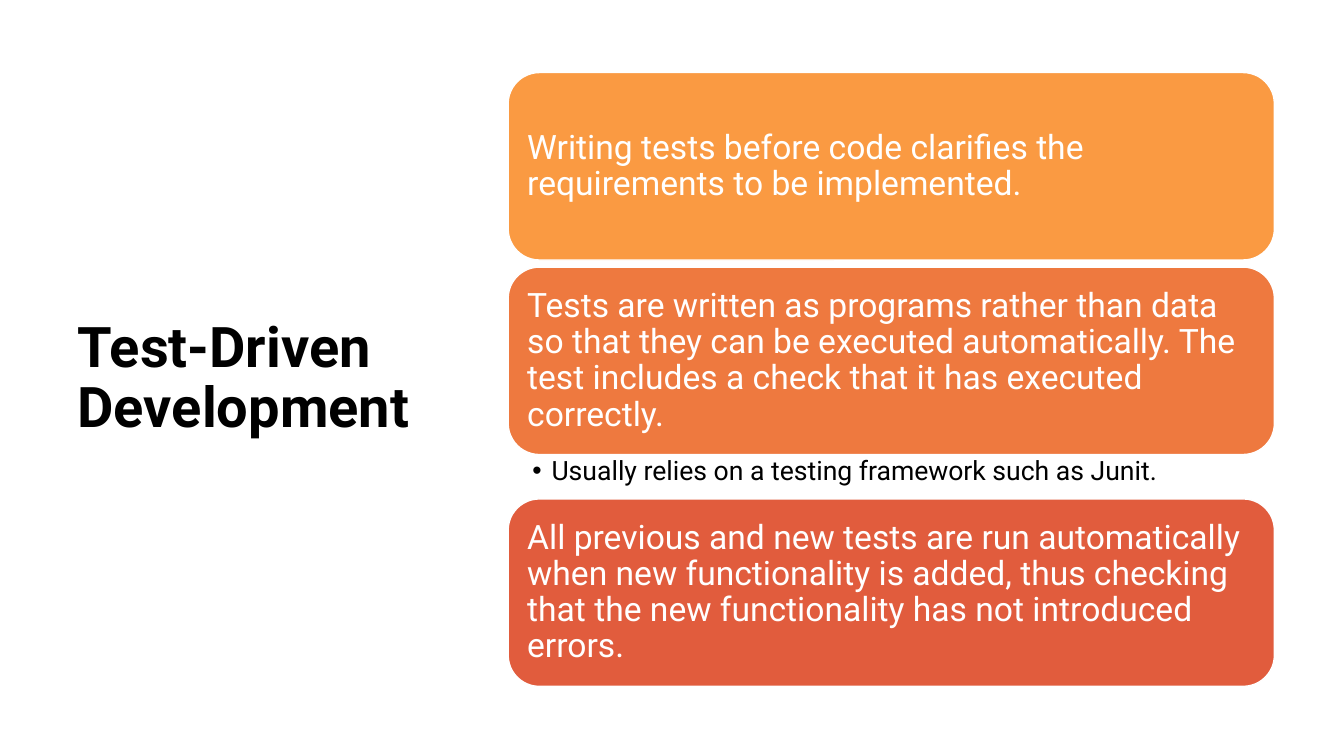
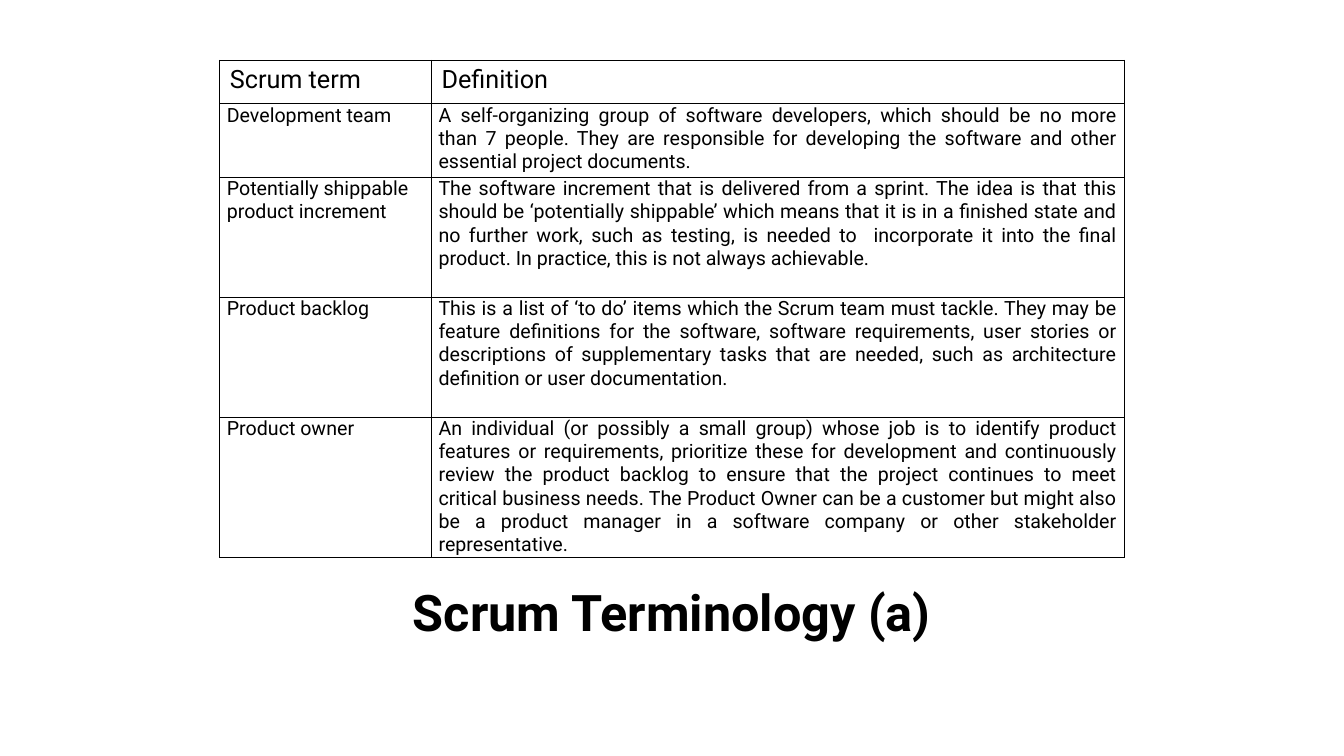
"""Build two slides on test-driven development and Scrum terminology."""
from dataclasses import dataclass
from typing import Any

from lxml.etree import SubElement
from pptx import Presentation
from pptx.dml.color import RGBColor
from pptx.enum.shapes import MSO_SHAPE
from pptx.enum.text import MSO_ANCHOR, MSO_AUTO_SIZE, PP_ALIGN
from pptx.oxml.ns import qn
from pptx.util import Inches, Pt

BLACK = RGBColor(0x00, 0x00, 0x00)
WHITE = RGBColor(0xFF, 0xFF, 0xFF)
AMBER = RGBColor(0xFA, 0x9A, 0x42)
ORANGE = RGBColor(0xEE, 0x79, 0x3F)
BRICK = RGBColor(0xE1, 0x5C, 0x3D)

FONT = "Roboto"
CARD_LEFT, CARD_TOP, CARD_WIDTH, CARD_HEIGHT = 5.04, 0.72, 7.6, 1.86
CARD_GAP, DETAIL_HEIGHT = 0.07, 0.44
TABLE_LEFT, TABLE_TOP = 2.18, 0.6
COLUMN_WIDTHS = (2.1, 6.87)
ROW_HEIGHTS = (0.43, 0.73, 1.19, 1.19, 1.39)
TABLE_WIDTH = sum(COLUMN_WIDTHS)


@dataclass(frozen=True)
class Card:
    text: str
    color: RGBColor
    detail: str = ""


@dataclass(frozen=True)
class Term:
    name: str
    definition: str


CARDS = (
    Card("Writing tests before code clarifies the requirements to be implemented.", AMBER),
    Card(
        "Tests are written as programs rather than data so that they can be executed "
        "automatically. The test includes a check that it has executed correctly.",
        ORANGE,
        "Usually relies on a testing framework such as Junit.",
    ),
    Card(
        "All previous and new tests are run automatically when new functionality is added, "
        "thus checking that the new functionality has not introduced errors.",
        BRICK,
    ),
)

TERMS = (
    Term("Scrum term", "Definition"),
    Term(
        "Development team",
        "A self-organizing group of software developers, which should be no more than 7 people. "
        "They are responsible for developing the software and other essential project documents.",
    ),
    Term(
        "Potentially shippable product increment",
        "The software increment that is delivered from a sprint. The idea is that this should be "
        "‘potentially shippable’ which means that it is in a finished state and no further work, "
        "such as testing, is needed to  incorporate it into the final product. In practice, this "
        "is not always achievable.",
    ),
    Term(
        "Product backlog",
        "This is a list of ‘to do’ items which the Scrum team must tackle. They may be feature "
        "definitions for the software, software requirements, user stories or descriptions of "
        "supplementary tasks that are needed, such as architecture definition or user "
        "documentation.",
    ),
    Term(
        "Product owner",
        "An individual (or possibly a small group) whose job is to identify product features or "
        "requirements, prioritize these for development and continuously review the product "
        "backlog to ensure that the project continues to meet critical business needs. The "
        "Product Owner can be a customer but might also be a product manager in a software "
        "company or other stakeholder representative.",
    ),
)


def apply(target: Any, formats: dict[str, Any]) -> None:
    """Set each named format value on the target."""
    for name, value in formats.items():
        setattr(target, name, value)


def place(shape: Any, left: float, top: float, width: float, height: float) -> None:
    """Move and size a shape in inches."""
    box = {"left": left, "top": top, "width": width, "height": height}
    apply(shape, {name: Inches(value) for name, value in box.items()})


def margins(horizontal: float, vertical: float) -> dict[str, Any]:
    """Return the four text margins of a frame or cell."""
    return {
        "margin_left": Inches(horizontal),
        "margin_right": Inches(horizontal),
        "margin_top": Inches(vertical),
        "margin_bottom": Inches(vertical),
    }


def write(
    frame: Any,
    text: str,
    size: float,
    color: RGBColor = BLACK,
    align: PP_ALIGN = PP_ALIGN.LEFT,
    spacing: float = 0.9,
    bold: bool = False,
) -> Any:
    """Write one formatted paragraph and return it."""
    paragraph = frame.paragraphs[0]
    apply(paragraph, {"alignment": align, "line_spacing": spacing, "space_before": Pt(0)})
    run = paragraph.add_run()
    run.text = text
    apply(run.font, {"name": FONT, "size": Pt(size), "bold": bold})
    run.font.color.rgb = color
    return paragraph


def set_title(
    slide: Any,
    text: str,
    box: tuple[float, float, float, float],
    size: float,
    align: PP_ALIGN,
    anchor: MSO_ANCHOR,
) -> None:
    """Fill and place the title placeholder."""
    title = slide.shapes.title
    place(title, *box)
    apply(
        title.text_frame,
        {"word_wrap": True, "auto_size": MSO_AUTO_SIZE.NONE, "vertical_anchor": anchor},
    )
    write(title.text_frame, text, size, align=align, bold=True)


def add_card(slide: Any, card: Card, top: float) -> None:
    """Draw one rounded card with its statement."""
    panel = slide.shapes.add_shape(
        MSO_SHAPE.ROUNDED_RECTANGLE,
        *(Inches(value) for value in (CARD_LEFT, top, CARD_WIDTH, CARD_HEIGHT)),
    )
    panel.shadow.inherit = False
    panel.fill.solid()
    panel.fill.fore_color.rgb = card.color
    panel.line.color.rgb = WHITE
    panel.line.width = Pt(1)
    apply(
        panel.text_frame,
        {"word_wrap": True, "vertical_anchor": MSO_ANCHOR.MIDDLE, **margins(0.1, 0.1)},
    )
    write(panel.text_frame, card.text, 24, WHITE)


def fill_detail(body: Any, text: str, top: float) -> None:
    """Write the bullet that follows a card."""
    place(body, CARD_LEFT, top, CARD_WIDTH, DETAIL_HEIGHT)
    apply(
        body.text_frame,
        {
            "word_wrap": True,
            "auto_size": MSO_AUTO_SIZE.NONE,
            "vertical_anchor": MSO_ANCHOR.TOP,
            **margins(0.19, 0.03),
            "margin_left": Inches(0.24),
        },
    )
    properties = write(body.text_frame, text, 19)._p.get_or_add_pPr()
    properties.set("marL", str(Inches(0.19)))
    properties.set("indent", str(-Inches(0.19)))


def add_borders(cell: Any) -> None:
    """Draw a thin black line on every side of a cell."""
    properties = cell._tc.get_or_add_tcPr()
    for side in ("a:lnL", "a:lnR", "a:lnT", "a:lnB"):
        border = SubElement(properties, qn(side), w=str(Pt(1)))
        fill = SubElement(border, qn("a:solidFill"))
        SubElement(fill, qn("a:srgbClr"), val=str(BLACK))


def add_terms(slide: Any) -> None:
    """Draw the table of Scrum terms."""
    table = slide.shapes.add_table(
        len(TERMS),
        len(COLUMN_WIDTHS),
        *(Inches(v) for v in (TABLE_LEFT, TABLE_TOP, TABLE_WIDTH, sum(ROW_HEIGHTS))),
    ).table
    apply(table, {"first_row": False, "horz_banding": False})
    for column, width in zip(table.columns, COLUMN_WIDTHS):
        column.width = Inches(width)
    for row_index, (term, height) in enumerate(zip(TERMS, ROW_HEIGHTS)):
        table.rows[row_index].height = Inches(height)
        is_header = row_index == 0
        for column_index, text in enumerate((term.name, term.definition)):
            cell = table.cell(row_index, column_index)
            add_borders(cell)
            cell.fill.solid()
            cell.fill.fore_color.rgb = WHITE
            apply(cell, margins(0.1, 0.05) if is_header else margins(0.07, 0))
            justified = column_index == 1 and not is_header
            write(
                cell.text_frame,
                text,
                18 if is_header else 14,
                align=PP_ALIGN.JUSTIFY if justified else PP_ALIGN.LEFT,
                spacing=1.0,
            )


def build_testing(deck: Any) -> None:
    """Build the test-driven development slide."""
    slide = deck.slides.add_slide(deck.slide_layouts[1])
    set_title(
        slide,
        "Test-Driven Development",
        (0.67, 0.6, 3.82, 6.33),
        40,
        PP_ALIGN.LEFT,
        MSO_ANCHOR.MIDDLE,
    )
    top = CARD_TOP
    for card in CARDS:
        add_card(slide, card, top)
        top += CARD_HEIGHT
        if card.detail:
            fill_detail(slide.placeholders[1], card.detail, top)
        top += DETAIL_HEIGHT if card.detail else CARD_GAP


def build_scrum(deck: Any) -> None:
    """Build the Scrum terminology slide."""
    slide = deck.slides.add_slide(deck.slide_layouts[5])
    set_title(
        slide,
        "Scrum Terminology (a)",
        (TABLE_LEFT, 5.62, TABLE_WIDTH, 0.8),
        36,
        PP_ALIGN.CENTER,
        MSO_ANCHOR.BOTTOM,
    )
    add_terms(slide)


def main() -> None:
    """Build and save the presentation."""
    deck = Presentation()
    apply(deck, {"slide_width": Inches(13.33), "slide_height": Inches(7.5)})
    build_testing(deck)
    build_scrum(deck)
    deck.save("out.pptx")


if __name__ == "__main__":
    main()
